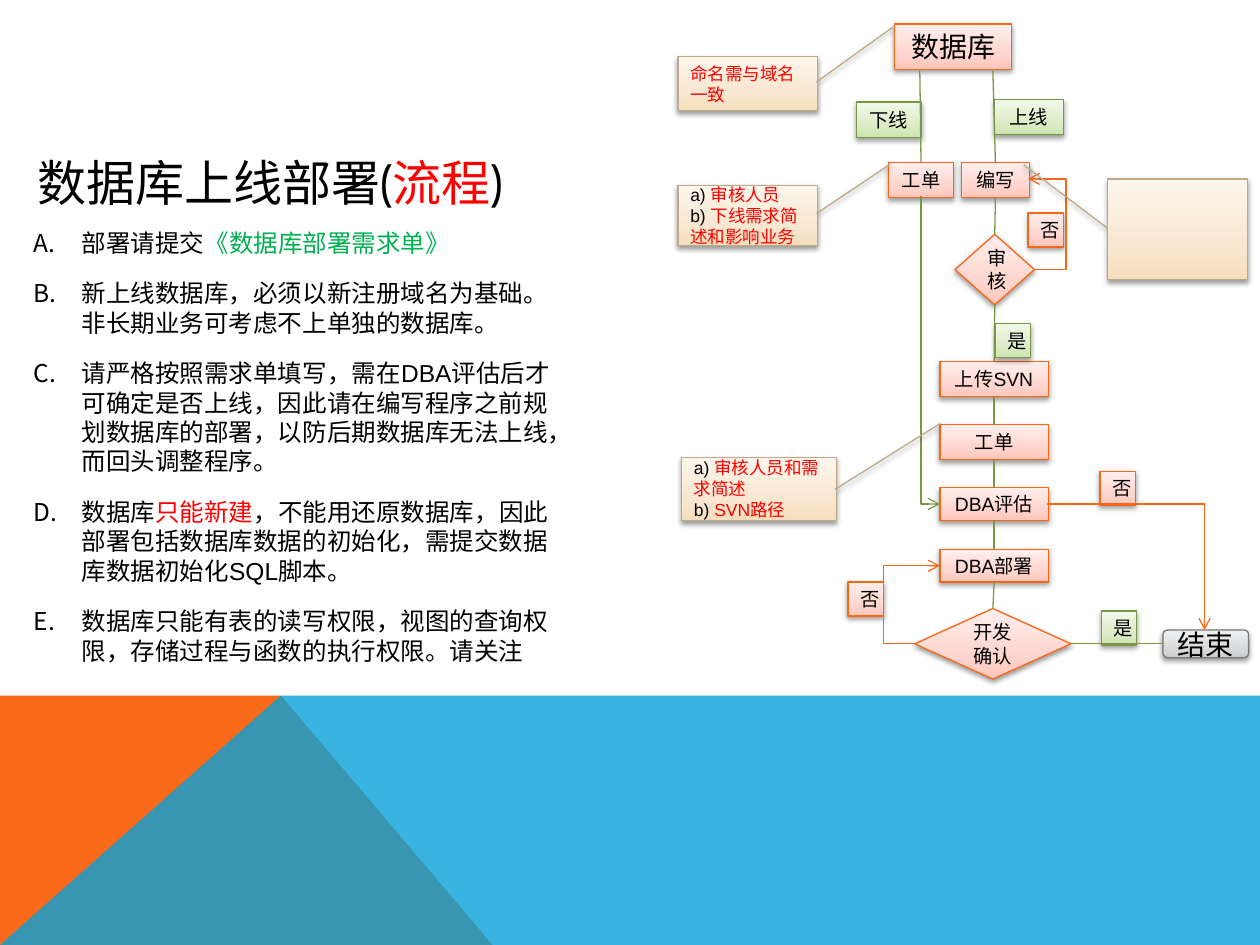
from copy import deepcopy

from lxml import etree
from pptx import Presentation
from pptx.dml.color import RGBColor
from pptx.enum.shapes import MSO_CONNECTOR, MSO_SHAPE
from pptx.enum.text import MSO_ANCHOR, PP_ALIGN
from pptx.oxml.ns import qn
from pptx.util import Inches, Pt

RECTANGLE = MSO_SHAPE.RECTANGLE
DECISION = MSO_SHAPE.FLOWCHART_DECISION
ROUNDED = MSO_SHAPE.ROUNDED_RECTANGLE
CALLOUT = MSO_SHAPE.LINE_CALLOUT_1
STRAIGHT, ELBOW = MSO_CONNECTOR.STRAIGHT, MSO_CONNECTOR.ELBOW
LEFT, CENTER, MIDDLE = PP_ALIGN.LEFT, PP_ALIGN.CENTER, MSO_ANCHOR.MIDDLE
SITE_TOP, SITE_LEFT, SITE_BOTTOM, SITE_RIGHT = range(4)

BLACK = RGBColor(0x00, 0x00, 0x00)
WHITE = RGBColor(0xFF, 0xFF, 0xFF)
RED = RGBColor(0xFF, 0x00, 0x00)
LINK_GREEN = RGBColor(0x00, 0xB0, 0x50)
BAND_ORANGE = RGBColor(0xF9, 0x6A, 0x1B)
BAND_BLUE = RGBColor(0x08, 0xA1, 0xD9)
ORANGE = RGBColor(0xF9, 0x66, 0x15)
GREEN = RGBColor(0x7A, 0x97, 0x46)
TAN = RGBColor(0xBF, 0xA9, 0x89)
GRAY = RGBColor(0x76, 0x78, 0x7B)

# Gradient stops, from bottom to top, for each outline colour
GRADIENTS = {
    ORANGE: ("FFC5BA", "FFD6CF", "FFEFED"),
    GREEN: ("CDE6AF", "DCECC7", "F1F9E9"),
    TAN: ("F6DEBD", "F8E7D1", "FDF6EC"),
    GRAY: ("C9CBCD", "D9DADC", "F0F1F2"),
}
STOP_POSITIONS = (0, 0.35, 1)


def add_child(parent, tag, **attributes):
    return etree.SubElement(parent, qn(tag), attributes)


def add_runs(paragraph, runs, size, font="Arial"):
    for text, color in runs:
        run = paragraph.add_run()
        run.text = text
        run.font.name = font
        run.font.size = Pt(size)
        run.font.color.rgb = color


def add_bands(slide, left, top, width, height):
    """Draw the orange triangle and the translucent blue band over it."""
    right, bottom = left + width, top + height
    peak = (left + Inches(2.23), top)
    outlines = [
        (BAND_ORANGE, [(left, bottom), (left, top), peak, (left + Inches(3.91), bottom)]),
        (BAND_BLUE, [(left, bottom), peak, (right, top), (right, bottom)]),
    ]
    for color, points in outlines:
        builder = slide.shapes.build_freeform(*points[0])
        builder.add_line_segments(points[1:], close=True)
        band = builder.convert_to_shape()
        band.shadow.inherit = False
        band.line.fill.background()
        band.fill.solid()
        band.fill.fore_color.rgb = color
    rgb = band._element.spPr.find(qn("a:solidFill"))[0]
    add_child(rgb, "a:alpha", val="80000")


def add_title(slide, left, top, width, height):
    frame = slide.shapes.add_textbox(left, top, width, height).text_frame
    frame.word_wrap = True
    frame.vertical_anchor = MIDDLE
    runs = [("数据库上线部署(", BLACK), ("流程", RED), (")", BLACK)]
    add_runs(frame.paragraphs[0], runs, 28, "Cabin")


def add_rules(slide, left, top, width, height):
    """Write the lettered list of deployment rules."""
    rules = [
        [("部署请提交", BLACK), ("《数据库部署需求单》", LINK_GREEN)],
        [("新上线数据库，必须以新注册域名为基础。非长期业务可考虑不上单独的数据库。", BLACK)],
        [("请严格按照需求单填写，需在DBA评估后才可确定是否上线，因此请在编写程序之前"
          "规划数据库的部署，以防后期数据库无法上线，而回头调整程序。", BLACK)],
        [("数据库", BLACK), ("只能新建", RED),
         ("，不能用还原数据库，因此部署包括数据库数据的初始化，"
          "需提交数据库数据初始化SQL脚本。", BLACK)],
        [("数据库只能有表的读写权限，视图的查询权限，存储过程与函数的执行权限。请关注", BLACK)],
    ]
    box = slide.shapes.add_textbox(left, top, width, height)
    box.fill.solid()
    box.fill.fore_color.rgb = WHITE
    frame = box.text_frame
    frame.word_wrap = True
    for index, runs in enumerate(rules):
        paragraph = frame.add_paragraph() if index else frame.paragraphs[0]
        paragraph.space_before = Pt(6 if index else 0)
        paragraph.space_after = Pt(6)
        properties = paragraph._p.get_or_add_pPr()
        properties.set("marL", str(Inches(0.38)))
        properties.set("indent", str(-Inches(0.38)))
        add_child(properties, "a:buFont", typeface="Cabin")
        add_child(properties, "a:buAutoNum", type="alphaUcPeriod")
        add_runs(paragraph, runs, 14)


def add_panel(slide, kind, box, color, lines, size=11, alignment=CENTER):
    """Add a gradient-filled, shadowed shape; lines holds the runs of each paragraph."""
    shape = slide.shapes.add_shape(kind, *box)
    shape.line.color.rgb = color
    shape.line.width = Pt(0.75)
    shape.fill.gradient()
    shape.fill.gradient_angle = 90
    properties = shape._element.spPr
    stop_list = properties.find(qn("a:gradFill")).find(qn("a:gsLst"))
    stop_list.insert(1, deepcopy(stop_list[0]))
    for stop, position, value in zip(shape.fill.gradient_stops, STOP_POSITIONS, GRADIENTS[color]):
        stop.position = position
        stop.color.rgb = RGBColor.from_string(value)
    shape.shadow.inherit = False
    shadow = add_child(properties.find(qn("a:effectLst")), "a:outerShdw", blurRad=str(Pt(3.1)),
                       dist=str(Pt(1.6)), dir="5400000", rotWithShape="0")
    add_child(add_child(shadow, "a:srgbClr", val="000000"), "a:alpha", val="38000")
    frame = shape.text_frame
    frame.vertical_anchor = MIDDLE
    for index, runs in enumerate(lines):
        paragraph = frame.add_paragraph() if index else frame.paragraphs[0]
        paragraph.alignment = alignment
        add_runs(paragraph, runs, size)
    return shape


def style_connector(connector, color):
    connector.line.color.rgb = color
    connector.line.width = Pt(0.75)
    add_child(connector._element.spPr, "a:effectLst")


def add_link(slide, start, start_site, end, end_site):
    """Join two shapes; a start_site of None means that start is a plain point."""
    origin = start if start_site is None else (0, 0)
    connector = slide.shapes.add_connector(STRAIGHT, *origin, *origin)
    if start_site is not None:
        connector.begin_connect(start, start_site)
    connector.end_connect(end, end_site)
    style_connector(connector, GREEN)


def add_elbow(slide, start, end, turn_x, color):
    """Draw an arrow whose vertical part runs at turn_x."""
    connector = slide.shapes.add_connector(ELBOW, *start, *end)
    geometry = connector._element.spPr.find(qn("a:prstGeom"))
    if turn_x == end[0]:
        geometry.set("prst", "bentConnector2")
    else:
        ratio = round((turn_x - start[0]) / (end[0] - start[0]) * 100000)
        add_child(geometry.find(qn("a:avLst")), "a:gd", name="adj1", fmla=f"val {ratio}")
    style_connector(connector, color)
    add_child(connector.line._get_or_add_ln(), "a:tailEnd", type="arrow")


def add_flowchart(slide, left, top):
    def at(x, y):
        return left + Inches(x), top + Inches(y)

    def panel(text, x, y, width, height, color=ORANGE, kind=RECTANGLE, size=11):
        box = (*at(x, y), Inches(width), Inches(height))
        return add_panel(slide, kind, box, color, [[(text, BLACK)]], size)

    database = panel("数据库", 1.8, 0.09, 0.93, 0.36, size=16)
    offline_ticket = panel("工单", 1.75, 1.19, 0.52, 0.28)
    drafting = panel("编写", 2.33, 1.19, 0.54, 0.28)
    review = panel("审核", 2.28, 1.76, 0.63, 0.56, kind=DECISION)
    steps = [panel(text, 2.16, y, 0.86, height) for text, y, height in [
        ("上传SVN", 2.77, 0.28), ("工单", 3.27, 0.28), ("DBA评估", 3.77, 0.26), ("DBA部署", 4.26, 0.26)]]
    confirmation = panel("开发确认", 1.96, 4.73, 1.24, 0.56, kind=DECISION)
    finish = panel("结束", 3.93, 4.9, 0.68, 0.22, GRAY, ROUNDED, 16)

    panel("下线", 1.5, 0.71, 0.51, 0.28, GREEN)
    panel("上线", 2.59, 0.69, 0.55, 0.28, GREEN)
    for x, y in [(2.86, 1.59), (3.43, 3.64), (1.43, 4.52)]:
        panel("否", x, y, 0.28, 0.27)
    for x, y in [(2.6, 2.47), (3.44, 4.75)]:
        panel("是", x, y, 0.28, 0.27, GREEN)

    add_link(slide, at(2, 0.46), None, offline_ticket, SITE_TOP)
    add_link(slide, at(2.58, 0.46), None, drafting, SITE_TOP)
    chain = [drafting, review, *steps, confirmation]
    for upper, lower in zip(chain, chain[1:]):
        add_link(slide, upper, SITE_BOTTOM, lower, SITE_TOP)
    add_link(slide, finish, SITE_LEFT, confirmation, SITE_RIGHT)

    for start, end, turn, color in [
        ((2.91, 2.04), (2.86, 1.32), 3.16, ORANGE),
        ((3.01, 3.9), (4.26, 4.9), 4.26, ORANGE),
        ((1.96, 5.01), (2.16, 4.39), 1.71, ORANGE),
        ((2.01, 1.46), (2.16, 3.9), 2.01, GREEN),
    ]:
        add_elbow(slide, at(*start), at(*end), left + Inches(turn), color)

    for x, y, width, height, leader, lines in [
        (0.08, 0.35, 1.11, 0.43, (0.47, 0.99, -0.55, 1.54), [[("命名需与域名一致", RED)]]),
        (0.08, 1.37, 1.11, 0.48, (0.47, 0.99, -0.35, 1.52),
         [[("a) ", BLACK), ("审核人员", RED)], [("b) ", BLACK), ("下线需求简述和影响业务", RED)]]),
        (0.11, 3.53, 1.23, 0.5, (0.51, 0.99, -0.54, 1.67),
         [[("a) ", BLACK), ("审核人员和需求简述", RED)], [("b) ", BLACK), ("SVN路径", RED)]]),
        (3.49, 1.32, 1.11, 0.8, (0.49, 0, -0.14, -0.6), []),
    ]:
        box = (*at(x, y), Inches(width), Inches(height))
        callout = add_panel(slide, CALLOUT, box, TAN, lines, 10, LEFT)
        for index, value in enumerate(leader):
            callout.adjustments[index] = value


def main():
    presentation = Presentation()
    presentation.slide_width, presentation.slide_height = Inches(10), Inches(7.5)
    slide = presentation.slides.add_slide(presentation.slide_layouts[6])
    add_bands(slide, 0, Inches(5.52), Inches(10), Inches(1.98))
    add_title(slide, Inches(0.2), Inches(1.14), Inches(8.22), Inches(0.6))
    add_rules(slide, Inches(0.17), Inches(1.76), Inches(4.36), Inches(3.63))
    add_flowchart(slide, Inches(5.3), Inches(0.1))
    presentation.save("out.pptx")


if __name__ == "__main__":
    main()
